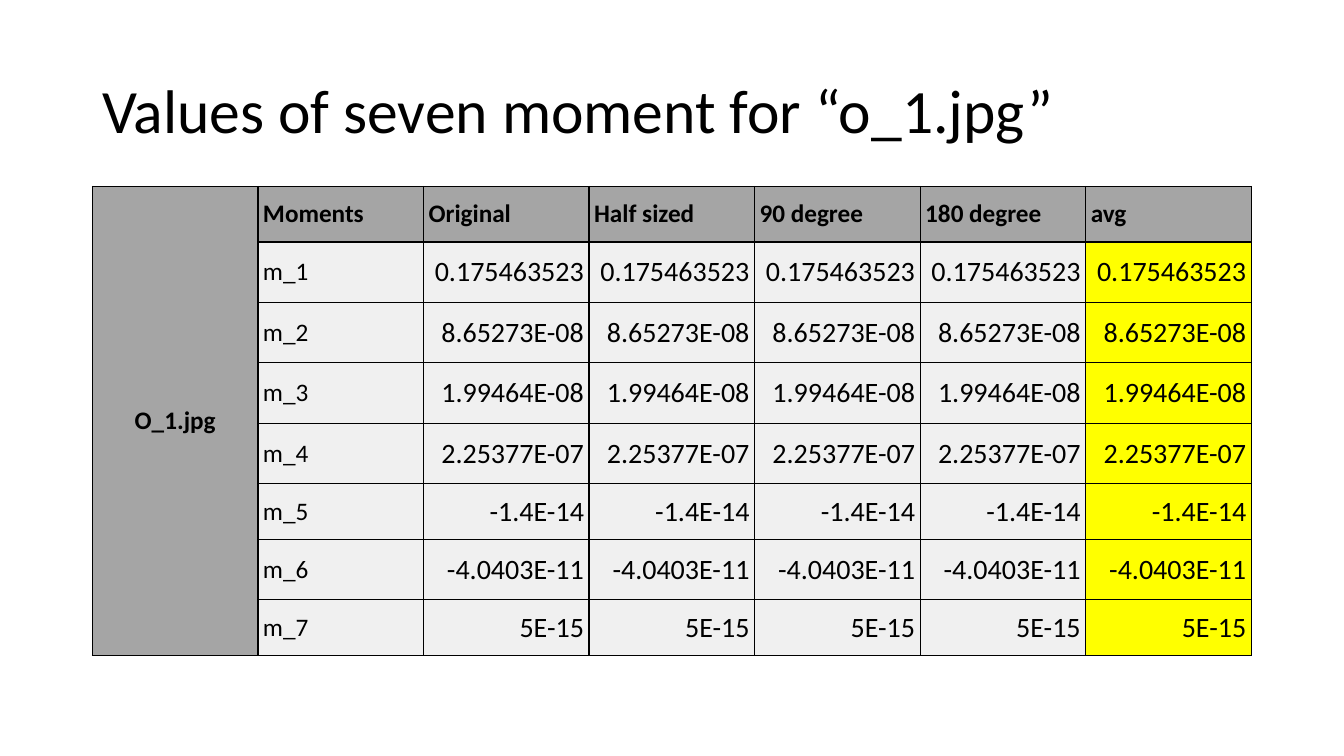
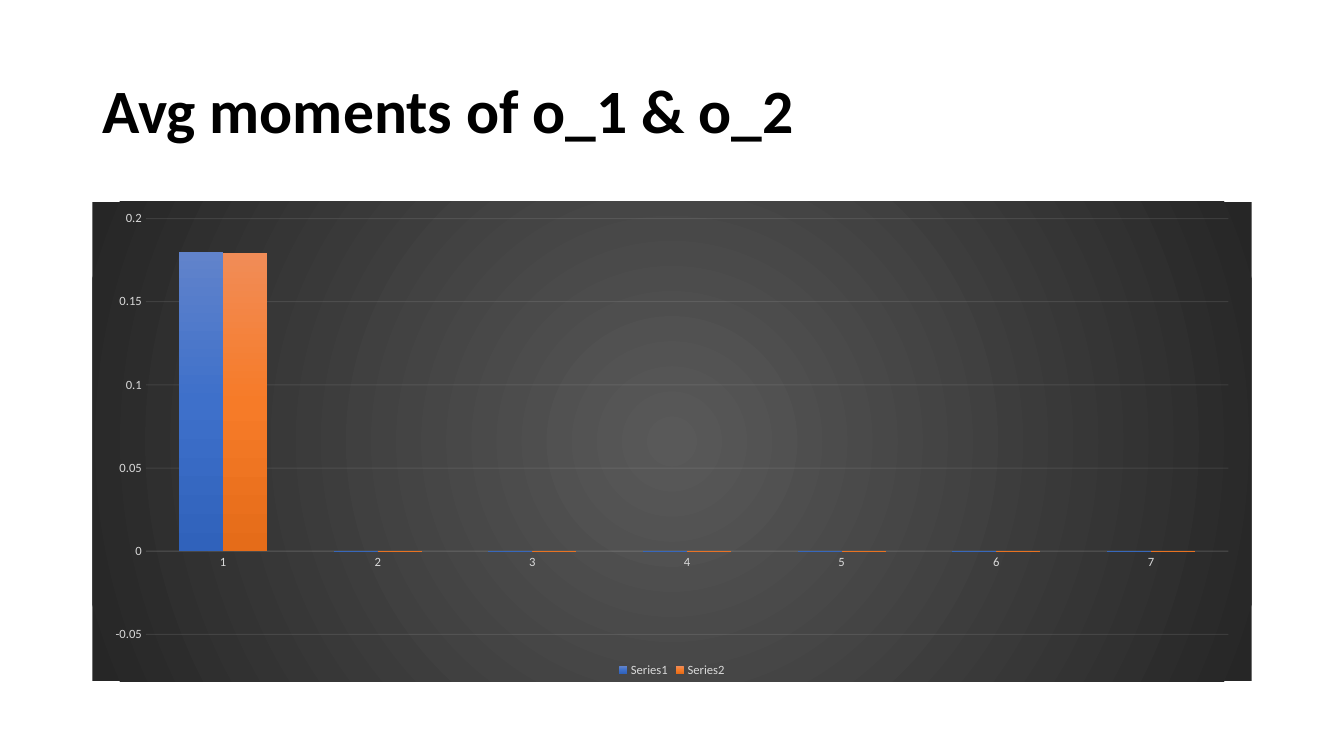
from pptx import Presentation
from pptx.chart.data import CategoryChartData as ChartData
from pptx.dml.color import RGBColor as Color
from pptx.enum.chart import XL_CHART_TYPE as Kind, XL_LEGEND_POSITION as Spot, XL_TICK_MARK as Tick
from pptx.enum.text import MSO_ANCHOR as Anchor, PP_ALIGN as Align
from pptx.oxml import parse_xml
from pptx.oxml.ns import nsdecls, qn
from pptx.util import Pt

FACE = "Calibri"
BLACK = Color(0x00, 0x00, 0x00)
GREY = Color(0xA5, 0xA5, 0xA5)
PALE = Color(0xF0, 0xF0, 0xF0)
YELLOW = Color(0xFF, 0xFF, 0x00)
SILVER = Color(0xD9, 0xD9, 0xD9)
MIST = Color(0xF2, 0xF2, 0xF2)
DARK = [Color(0x59, 0x59, 0x59), Color(0x26, 0x26, 0x26)]
BLUE = [Color(0x61, 0x83, 0xCB), Color(0x3E, 0x70, 0xCA), Color(0x30, 0x62, 0xBB)]
ORANGE = [Color(0xF1, 0x8C, 0x57), Color(0xF6, 0x7B, 0x28), Color(0xE5, 0x6C, 0x19)]

LEFT, WIDE = 66, 828
LOW, HIGH = 39.6, 43.2
LINEAR = '<a:lin ang="5400000" scaled="0"/>'
ROUND = '<a:path path="circle"><a:fillToRect l="50000" t="50000" r="50000" b="50000"/></a:path>'

HEADS = ["Moments", "Original", "Half sized", "90 degree", "180 degree", "avg"]
MOMENTS = [
    ("0.175463523", HIGH),
    ("8.65273E-08", HIGH),
    ("1.99464E-08", HIGH),
    ("2.25377E-07", HIGH),
    ("-1.4E-14", LOW),
    ("-4.0403E-11", HIGH),
    ("5E-15", LOW),
]
SERIES = [("Series1", 0.18, BLUE), ("Series2", 0.179, ORANGE)]


def put(item, **values):
    for name, value in values.items():
        setattr(item, name, value)


def style(font, size, ink=BLACK, bold=False):
    put(font, name=FACE, size=Pt(size), bold=bold)
    font.color.rgb = ink


def blend(inks, shape):
    last = len(inks) - 1
    stops = "".join(
        f'<a:gs pos="{100000 * i // last}"><a:srgbClr val="{ink}"/></a:gs>'
        for i, ink in enumerate(inks)
    )
    return f'<a:gradFill {nsdecls("a")} rotWithShape="1"><a:gsLst>{stops}</a:gsLst>{shape}</a:gradFill>'


def add_title(slide, text, bold=False):
    frame = slide.shapes.add_textbox(Pt(LEFT), Pt(28.8), Pt(WIDE), Pt(104.4)).text_frame
    put(frame, word_wrap=True, vertical_anchor=Anchor.MIDDLE)
    para = frame.paragraphs[0]
    put(para, text=text, line_spacing=0.9)
    style(para.runs[0].font, 44, bold=bold)


def add_edges(cell):
    props = cell._tc.get_or_add_tcPr()
    for i, side in enumerate("LRTB"):
        props.insert(i, parse_xml(
            f'<a:ln{side} {nsdecls("a")} w="{Pt(1)}"><a:solidFill>'
            f'<a:srgbClr val="{BLACK}"/></a:solidFill></a:ln{side}>'))


def fill_cell(cell, text, ink, size=18, bold=False, align=Align.LEFT):
    put(cell, vertical_anchor=Anchor.MIDDLE)
    put(cell, **{f"margin_{side}": Pt(3.6) for side in ("left", "right", "top", "bottom")})
    cell.fill.solid()
    cell.fill.fore_color.rgb = ink
    para = cell.text_frame.paragraphs[0]
    put(para, text=text, alignment=align)
    style(para.font, size, bold=bold)
    for run in para.runs:
        style(run.font, size, bold=bold)
    add_edges(cell)


def add_grid(slide, label):
    heights = [LOW] + [height for _, height in MOMENTS]
    rows, cols = len(heights), len(HEADS) + 1
    table = slide.shapes.add_table(
        rows, cols, Pt(LEFT), Pt(133.2), Pt(WIDE), Pt(sum(heights))).table
    put(table, first_row=False, horz_banding=False)
    for col in table.columns:
        col.width = Pt(WIDE / cols)
    for row, height in zip(table.rows, heights):
        row.height = Pt(height)
    for r in range(rows):
        fill_cell(table.cell(r, 0), "" if r else label, GREY, bold=True, align=Align.CENTER)
    table.cell(0, 0).merge(table.cell(rows - 1, 0))
    for c, head in enumerate(HEADS, 1):
        fill_cell(table.cell(0, c), head, GREY, bold=True)
    for r, (value, _) in enumerate(MOMENTS, 1):
        fill_cell(table.cell(r, 1), f"m_{r}", PALE)
        for c in range(2, cols):
            ink = YELLOW if c == cols - 1 else PALE
            fill_cell(table.cell(r, c), value, ink, size=20, align=Align.RIGHT)


def draw_line(line):
    line.width = Pt(0.75)
    line.color.rgb = MIST


def style_axes(chart):
    base, scale = chart.category_axis, chart.value_axis
    for axis in (base, scale):
        put(axis, major_tick_mark=Tick.NONE, minor_tick_mark=Tick.NONE)
        style(axis.tick_labels.font, 9, SILVER)
    put(scale, minimum_scale=-0.05, maximum_scale=0.2, major_unit=0.05,
        has_major_gridlines=True)
    draw_line(base.format.line)
    draw_line(scale.major_gridlines.format.line)
    scale.format.line.fill.background()
    for ink in chart._chartSpace.xpath(".//a:ln//a:srgbClr"):
        ink.append(parse_xml(f'<a:alpha {nsdecls("a")} val="10000"/>'))


def add_bars(slide):
    data = ChartData()
    data.categories = [str(i + 1) for i in range(len(MOMENTS))]
    for name, first, _ in SERIES:
        data.add_series(name, [first] + [0] * (len(MOMENTS) - 1))
    chart = slide.shapes.add_chart(
        Kind.COLUMN_CLUSTERED, Pt(LEFT), Pt(144), Pt(WIDE), Pt(342.7), data).chart
    put(chart, has_title=False, has_legend=True)
    style(chart.font, 10)
    put(chart.legend, position=Spot.BOTTOM, include_in_layout=False)
    style(chart.legend.font, 9, SILVER)
    plot = chart.plots[0]
    put(plot, gap_width=150, overlap=0, vary_by_categories=False)
    for bars, (_, _, inks) in zip(plot.series, SERIES):
        bars.invert_if_negative = False
        bars._element.get_or_add_spPr().insert(0, parse_xml(blend(inks, LINEAR)))
    style_axes(chart)
    chart._chartSpace.find(qn("c:txPr")).addprevious(parse_xml(
        f'<c:spPr {nsdecls("c", "a")}>{blend(DARK, ROUND)}<a:ln><a:noFill/></a:ln></c:spPr>'))


def main():
    deck = Presentation()
    put(deck, slide_width=Pt(960), slide_height=Pt(540))
    blank = deck.slide_layouts[6]

    slide = deck.slides.add_slide(blank)
    add_title(slide, "Values of seven moment for “o_1.jpg”")
    add_grid(slide, "O_1.jpg")

    slide = deck.slides.add_slide(blank)
    add_title(slide, "Avg moments of o_1 & o_2", bold=True)
    add_bars(slide)

    deck.save("out.pptx")


if __name__ == "__main__":
    main()
